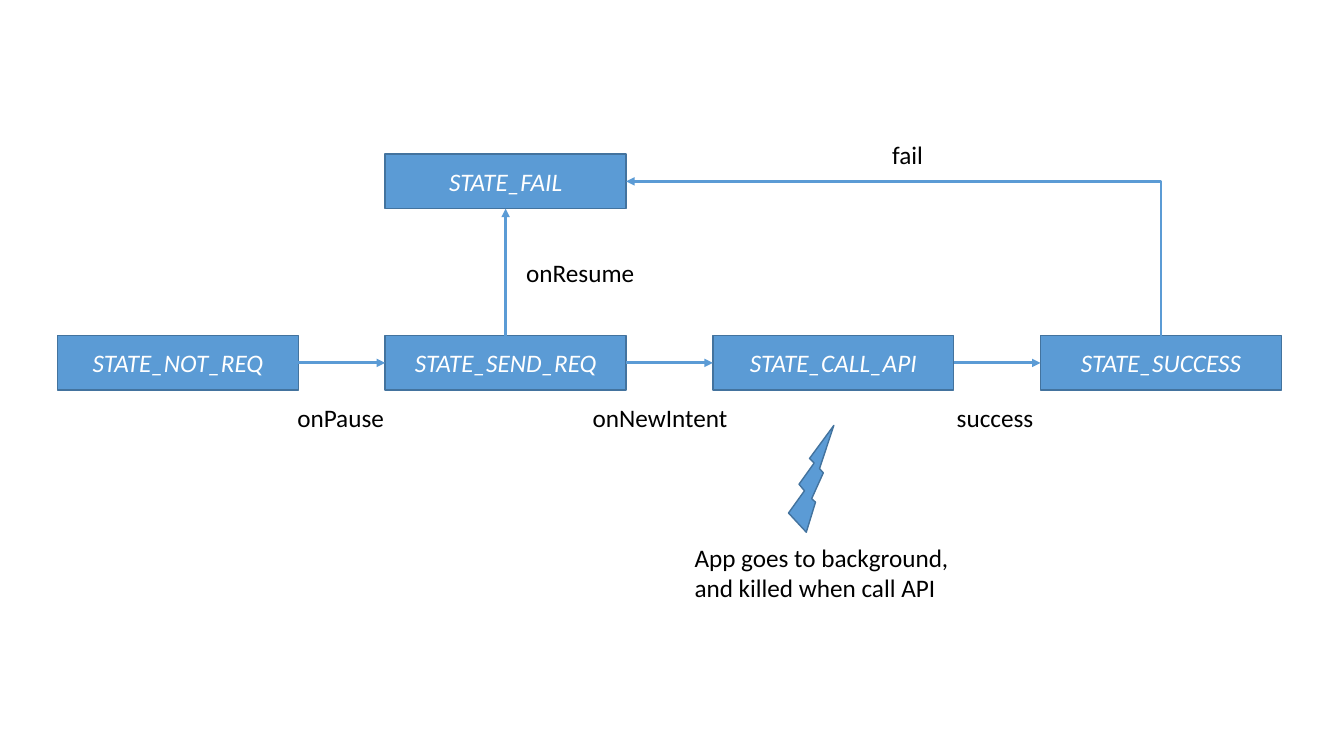
from lxml import etree
from pptx import Presentation
from pptx.dml.color import RGBColor
from pptx.enum import shapes, text
from pptx.oxml import ns
from pptx.util import Inches, Pt

BLUE = RGBColor(0x5B, 0x9B, 0xD5)
EDGE = RGBColor(0x43, 0x73, 0x9E)
WHITE = RGBColor(0xFF, 0xFF, 0xFF)
BLACK = RGBColor(0, 0, 0)

LEFT, PITCH = 0.57, 3.25
WIDTH, HEIGHT = 2.39, 0.54
ROW, TOP = 3.33, 1.53
STATES = ["STATE_NOT_REQ", "STATE_SEND_REQ", "STATE_CALL_API", "STATE_SUCCESS"]
LABELS = [
    ("onPause", 2.85, 3.94, 1.08),
    ("onNewIntent", 5.78, 3.94, 1.72),
    ("success", 9.39, 3.94, 1.01),
    ("fail", 8.75, 1.33, 0.64),
    ("onResume", 5.12, 2.5, 1.32),
]


def write(frame, words, color):
    frame.text = words
    par = frame.paragraphs[0]
    par.font.size = Pt(18)
    par.font.name = "Calibri"
    par.font.color.rgb = color
    return par


def add_solid(slide, kind, x, y, w, h):
    shape = slide.shapes.add_shape(kind, Inches(x), Inches(y), Inches(w), Inches(h))
    shape.shadow.inherit = False
    shape.fill.solid()
    shape.fill.fore_color.rgb = BLUE
    shape.line.color.rgb = EDGE
    shape.line.width = Pt(1)
    return shape


def add_state(slide, name, x, y):
    box = add_solid(slide, shapes.MSO_SHAPE.RECTANGLE, x, y, WIDTH, HEIGHT)
    box.text_frame.vertical_anchor = text.MSO_ANCHOR.MIDDLE
    par = write(box.text_frame, name, WHITE)
    par.alignment = text.PP_ALIGN.CENTER
    par.font.italic = True
    return box


def add_label(slide, words, x, y, w, h=0.4, wrap=False):
    box = slide.shapes.add_textbox(Inches(x), Inches(y), Inches(w), Inches(h))
    box.text_frame.word_wrap = wrap
    write(box.text_frame, words, BLACK)


def add_arrow(slide, kind, x1, y1, x2, y2):
    arrow = slide.shapes.add_connector(
        kind, Inches(x1), Inches(y1), Inches(x2), Inches(y2))
    arrow.line.color.rgb = BLUE
    arrow.line.width = Pt(2)
    etree.SubElement(arrow.line._get_or_add_ln(), ns.qn("a:tailEnd"), type="triangle")
    etree.SubElement(arrow._element.spPr, ns.qn("a:effectLst"))
    return arrow


def join(slide, start, side1, end, side2):
    arrow = add_arrow(slide, shapes.MSO_CONNECTOR.STRAIGHT, 0, 0, 1, 1)
    arrow.begin_connect(start, side1)
    arrow.end_connect(end, side2)


def add_bend(slide, x1, y1, x2, y2):
    """Arrow that goes up from (x1, y1), then left to (x2, y2)."""
    midx, midy = (x1 + x2) / 2, (y1 + y2) / 2
    # The frame lies turned by a quarter, so rise and run change places.
    dx, dy = (y1 - y2) / 2, (x1 - x2) / 2
    arrow = add_arrow(slide, shapes.MSO_CONNECTOR.ELBOW,
                      midx - dx, midy + dy, midx + dx, midy - dy)
    props = arrow._element.spPr
    props.find(ns.qn("a:xfrm")).set("rot", str(270 * 60000))
    props.find(ns.qn("a:prstGeom")).set("prst", "bentConnector2")


def add_bolt(slide):
    bolt = add_solid(slide, shapes.MSO_SHAPE.LIGHTNING_BOLT, 7.82, 4.22, 0.45, 1.06)
    bolt.rotation = 180
    bolt._element.spPr.find(ns.qn("a:xfrm")).set("flipH", "1")


def main():
    prs = Presentation()
    prs.slide_width, prs.slide_height = Inches(13.33), Inches(7.5)
    slide = prs.slides.add_slide(prs.slide_layouts[6])

    row = [add_state(slide, name, LEFT + i * PITCH, ROW)
           for i, name in enumerate(STATES)]
    fail = add_state(slide, "STATE_FAIL", LEFT + PITCH, TOP)

    for start, end in zip(row, row[1:]):
        join(slide, start, 3, end, 1)
    join(slide, row[1], 0, fail, 2)
    add_bend(slide, LEFT + 3 * PITCH + WIDTH / 2, ROW,
             LEFT + PITCH + WIDTH, TOP + HEIGHT / 2)

    for label in LABELS:
        add_label(slide, *label)
    add_bolt(slide)
    add_label(slide, "App goes to background, and killed when call API",
              6.79, 5.33, 2.96, 0.71, wrap=True)
    prs.save("out.pptx")


if __name__ == "__main__":
    main()
